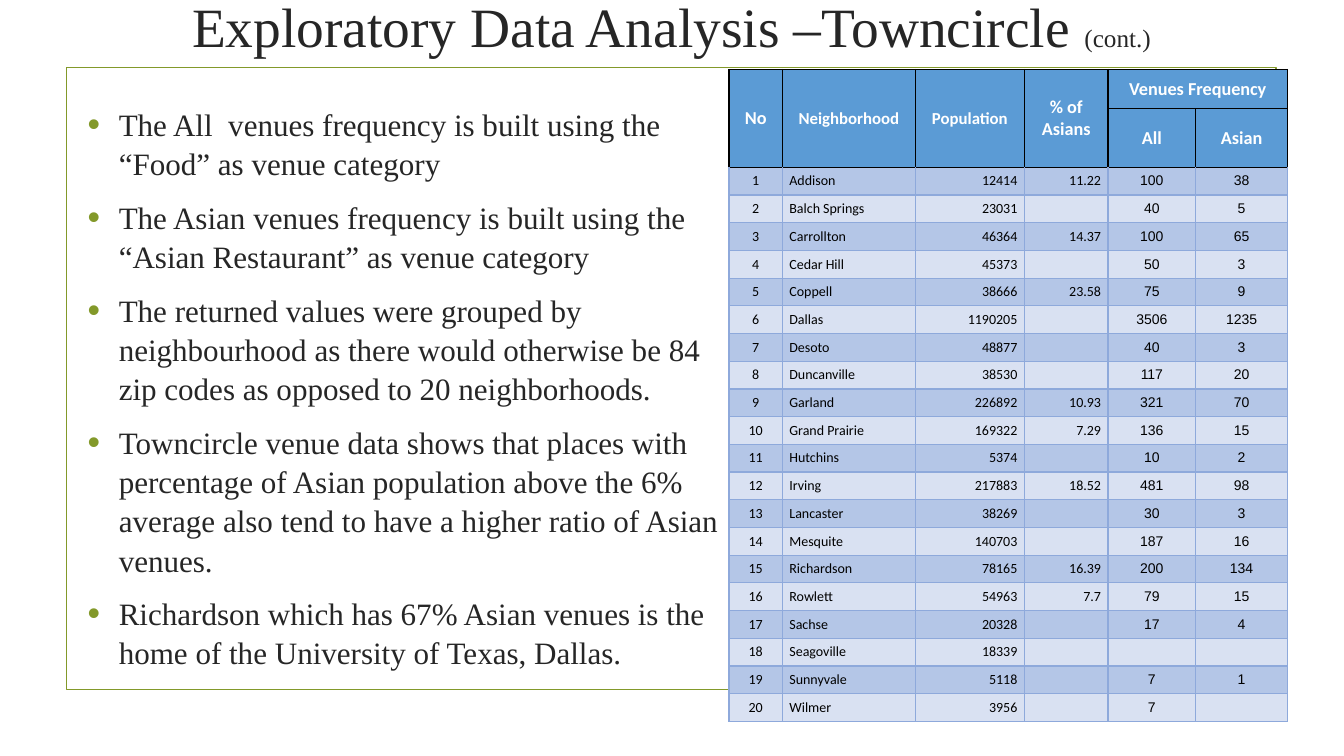
from lxml.etree import SubElement
from pptx import Presentation
from pptx.dml.color import RGBColor
from pptx.enum.shapes import MSO_SHAPE as Shape
from pptx.enum.text import MSO_ANCHOR as Anchor, PP_ALIGN as Align
from pptx.oxml.ns import qn
from pptx.util import Inches, Pt

WHITE = RGBColor(0xFF, 0xFF, 0xFF)
BLACK = RGBColor(0, 0, 0)
INK = RGBColor(0x26, 0x26, 0x26)
OLIVE = RGBColor(0x83, 0x99, 0x2A)
HEADER_BLUE = RGBColor(0x5B, 0x9B, 0xD5)
ROW_BLUES = [RGBColor(0xB4, 0xC6, 0xE7), RGBColor(0xD9, 0xE1, 0xF2)]
GRID_BLUE = RGBColor(0x8E, 0xA9, 0xDB)

BULLETS = [
    "The All  venues frequency is built using the “Food” as venue category",
    "The Asian venues frequency is built using the “Asian Restaurant” as venue category",
    "The returned values were grouped by neighbourhood as there would otherwise be 84 zip codes as opposed to 20 neighborhoods.",
    "Towncircle venue data shows that places with percentage of Asian population above the 6% average also tend to have a higher ratio of Asian venues.",
    "Richardson which has 67% Asian venues is the home of the University of Texas, Dallas.",
]
HEADERS = [
    (0, 0, "No", 13), (0, 1, "Neighborhood", 12), (0, 2, "Population", 12),
    (0, 3, "% of Asians", 13), (0, 4, "Venues Frequency", 13),
    (1, 4, "All", 13), (1, 5, "Asian", 13),
]
NEIGHBORHOODS = [
    ("Addison", "12414", "11.22", "100", "38"),
    ("Balch Springs", "23031", "", "40", "5"),
    ("Carrollton", "46364", "14.37", "100", "65"),
    ("Cedar Hill", "45373", "", "50", "3"),
    ("Coppell", "38666", "23.58", "75", "9"),
    ("Dallas", "1190205", "", "3506", "1235"),
    ("Desoto", "48877", "", "40", "3"),
    ("Duncanville", "38530", "", "117", "20"),
    ("Garland", "226892", "10.93", "321", "70"),
    ("Grand Prairie", "169322", "7.29", "136", "15"),
    ("Hutchins", "5374", "", "10", "2"),
    ("Irving", "217883", "18.52", "481", "98"),
    ("Lancaster", "38269", "", "30", "3"),
    ("Mesquite", "140703", "", "187", "16"),
    ("Richardson", "78165", "16.39", "200", "134"),
    ("Rowlett", "54963", "7.7", "79", "15"),
    ("Sachse", "20328", "", "17", "4"),
    ("Seagoville", "18339", "", "", ""),
    ("Sunnyvale", "5118", "", "7", "1"),
    ("Wilmer", "3956", "", "7", ""),
]
COLUMN_WIDTHS = [0.53, 1.32, 1.08, 0.83, 0.87, 0.91]
ROW_HEIGHTS = [0.39, 0.58] + [5.5 / len(NEIGHBORHOODS)] * len(NEIGHBORHOODS)
COLUMN_ALIGNS = [Align.CENTER, Align.LEFT, Align.RIGHT, Align.RIGHT, Align.CENTER, Align.CENTER]
COLUMN_FONTS = ["Calibri"] * 4 + ["Arial"] * 2


def write(paragraph, text, size, font="Times New Roman", color=INK, bold=False, align=Align.LEFT):
    paragraph.alignment = align
    if not text:
        paragraph._p.get_or_add_endParaRPr().set("sz", str(size * 100))
        return
    run = paragraph.add_run()
    run.text = text
    run.font.size = Pt(size)
    run.font.name = font
    run.font.color.rgb = color
    run.font.bold = bold


def style_cell(cell, fill, borders, margin_x=0.07, margin_y=0):
    cell.vertical_anchor = Anchor.MIDDLE
    cell.margin_left = cell.margin_right = Inches(margin_x)
    cell.margin_top = cell.margin_bottom = Inches(margin_y)
    properties = cell._tc.get_or_add_tcPr()
    for side, color in zip(("lnL", "lnR", "lnT", "lnB"), borders):
        line = SubElement(properties, qn(f"a:{side}"), w=str(Pt(1)))
        solid = SubElement(line, qn("a:solidFill"))
        SubElement(solid, qn("a:srgbClr"), val=str(color))
    cell.fill.solid()
    cell.fill.fore_color.rgb = fill


presentation = Presentation()
presentation.slide_width = Inches(13.33)
presentation.slide_height = Inches(7.5)
slide = presentation.slides.add_slide(presentation.slide_layouts[6])

frame = slide.shapes.add_shape(Shape.RECTANGLE, Inches(0.66), Inches(0.67), Inches(12), Inches(6.17))
frame.shadow.inherit = False
frame.fill.background()
frame.line.color.rgb = OLIVE
frame.line.width = Pt(1.25)

title = slide.shapes.add_textbox(Inches(1.41), Inches(-0.1), Inches(10.5), Inches(0.7)).text_frame
title.word_wrap = True
title.vertical_anchor = Anchor.MIDDLE
for text, size in (("Exploratory Data Analysis –Towncircle ", 39.6), ("(cont.)", 18)):
    write(title.paragraphs[0], text, size, align=Align.CENTER)

body = slide.shapes.add_textbox(Inches(0.77), Inches(0.98), Inches(6.46), Inches(5.54)).text_frame
body.word_wrap = True
for index, text in enumerate(BULLETS):
    paragraph = body.add_paragraph() if index else body.paragraphs[0]
    properties = paragraph._p.get_or_add_pPr()
    properties.set("marL", str(Inches(0.31)))
    properties.set("indent", str(Inches(-0.31)))
    bullet_color = SubElement(properties, qn("a:buClr"))
    SubElement(bullet_color, qn("a:srgbClr"), val=str(OLIVE))
    SubElement(properties, qn("a:buSzPct"), val="115000")
    SubElement(properties, qn("a:buFont"), typeface="Arial")
    SubElement(properties, qn("a:buChar"), char="•")
    paragraph.line_spacing = 1.05
    paragraph.space_before = Pt(4.4 if index else 0)
    paragraph.space_after = Pt(6)
    write(paragraph, text, 22.2)

table = slide.shapes.add_table(
    len(ROW_HEIGHTS), len(COLUMN_WIDTHS), Inches(7.23), Inches(0.69),
    Inches(sum(COLUMN_WIDTHS)), Inches(sum(ROW_HEIGHTS))).table
table.first_row = False
table.horz_banding = False
for column, width in zip(table.columns, COLUMN_WIDTHS):
    column.width = Inches(width)
for row, height in zip(table.rows, ROW_HEIGHTS):
    row.height = Inches(height)

for row in range(2):
    for column in range(len(COLUMN_WIDTHS)):
        margins = (0.07, 0) if row else (0.14, 0.07)
        style_cell(table.cell(row, column), HEADER_BLUE, [BLACK] * 4, *margins)
for column in range(4):
    table.cell(0, column).merge(table.cell(1, column))
table.cell(0, 4).merge(table.cell(0, 5))
for row, column, text, size in HEADERS:
    paragraph = table.cell(row, column).text_frame.paragraphs[0]
    write(paragraph, text, size, "Calibri", WHITE, True, Align.CENTER)

for index, record in enumerate(NEIGHBORHOODS):
    top = GRID_BLUE if index else BLACK
    for column, text in enumerate((str(index + 1), *record)):
        cell = table.cell(index + 2, column)
        style_cell(cell, ROW_BLUES[index % 2], [GRID_BLUE, GRID_BLUE, top, GRID_BLUE])
        write(cell.text_frame.paragraphs[0], text, 10, COLUMN_FONTS[column], BLACK,
              align=COLUMN_ALIGNS[column])

presentation.save("out.pptx")
